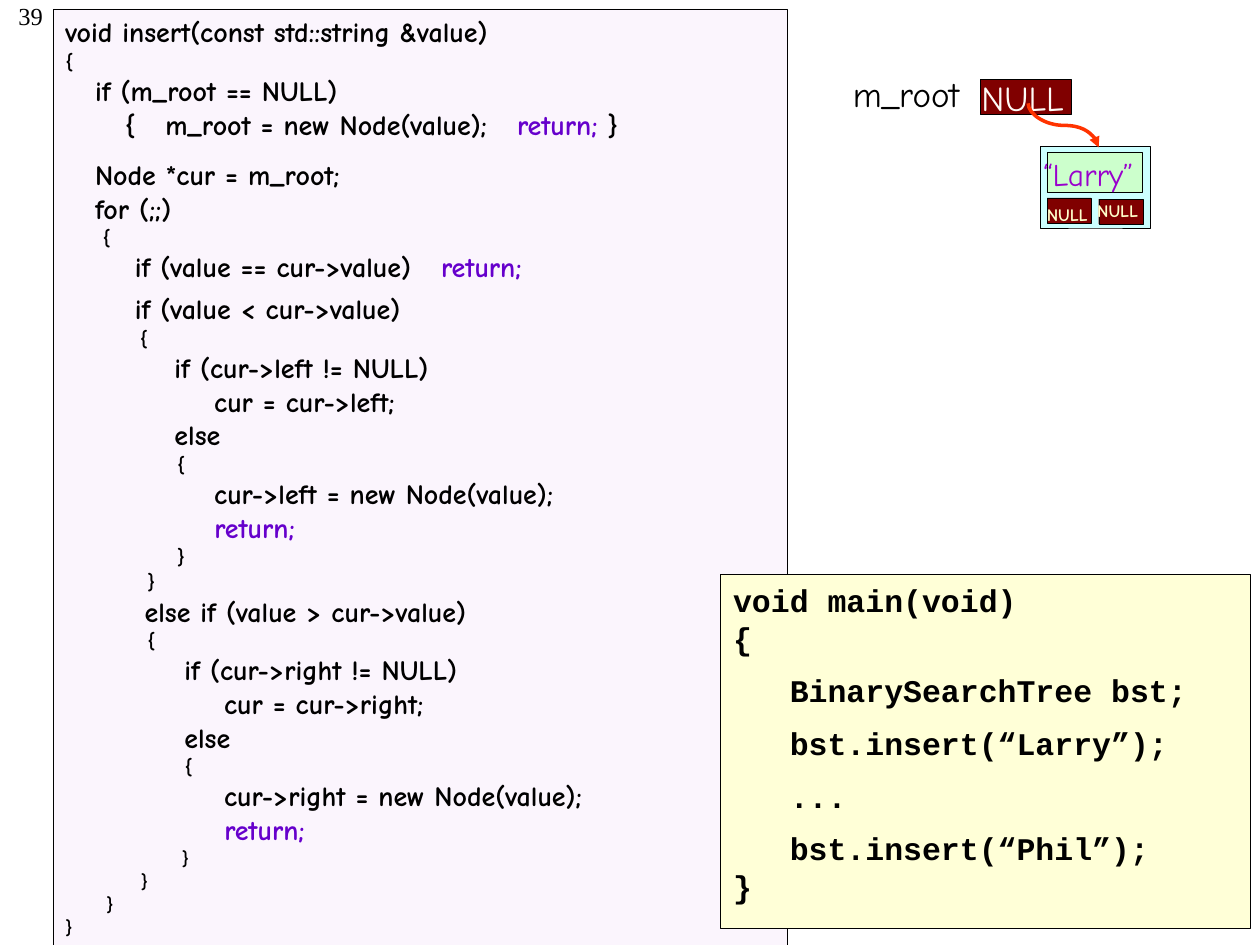
from lxml import etree
from pptx import Presentation, util as u
from pptx.dml.color import RGBColor
from pptx.enum import shapes, text
from pptx.oxml import ns

BLACK = RGBColor(0x00, 0x00, 0x00)
LAVENDER = RGBColor(0xFB, 0xF5, 0xFD)
CREAM = RGBColor(0xFF, 0xFF, 0xD7)
MAROON = RGBColor(0x80, 0x00, 0x00)
CYAN = RGBColor(0xCC, 0xFF, 0xFF)
GREEN = RGBColor(0xCC, 0xFF, 0xCC)
IVORY = RGBColor(0xFF, 0xFB, 0xF7)
YELLOW = RGBColor(0xFF, 0xFF, 0xCC)
PURPLE = RGBColor(0x99, 0x00, 0xCC)
VIOLET = RGBColor(0x66, 0x00, 0xCC)
ORANGE = RGBColor(0xFF, 0x33, 0x00)

KEYWORD = "return;"
INSERT_CODE = """\
void insert(const std::string &value)
{
   if (m_root == NULL)
      {   m_root = new Node(value);   return; }
   Node *cur = m_root;
   for (;;)
     {
       if (value == cur->value)   return;
       if (value < cur->value)
          {
           if (cur->left != NULL)
               cur = cur->left;
           else
               {
               cur->left = new Node(value);
               return;
               }
           }
        else if (value > cur->value)
           {
            if (cur->right != NULL)
                cur = cur->right;
            else
                {
                cur->right = new Node(value);
                return;
                 }
           }
      }
}""".split("\n")
INSERT_GAPS = {4: 9.5, 8: 4.75}
CLOSING_BRACES = 4

MAIN_CODE = """\
void main(void)
{
   BinarySearchTree bst;
   bst.insert(“Larry”);
   ...
   bst.insert(“Phil”);
}""".split("\n")
MAIN_GAPS = dict.fromkeys(range(2, 6), 8.5)


class Slide:
    font = "Comic Neue"
    code_font = "Courier New"
    number_font = "Times New Roman"

    def __init__(self, page):
        self.page = page

    def rect(self, place, color, parent=None):
        owner = parent or self.page
        box = owner.shapes.add_shape(shapes.MSO_SHAPE.RECTANGLE, *map(u.Inches, place))
        box.shadow.inherit = False
        box.fill.solid()
        box.fill.fore_color.rgb = color
        box.line.color.rgb = BLACK
        box.line.width = u.Pt(0.25)
        return box

    def span(self, para, words, color, **values):
        span = para.add_run()
        span.text = words
        span.font.color.rgb = color
        for name, value in values.items():
            setattr(span.font, name, value)

    def code(self, place, color, lines, sizes, gaps, font):
        frame = self.rect(place, color).text_frame
        frame.word_wrap = True
        frame.vertical_anchor = text.MSO_ANCHOR.TOP
        for index, (line, size) in enumerate(zip(lines, sizes)):
            para = frame.add_paragraph() if index else frame.paragraphs[0]
            para.alignment = text.PP_ALIGN.LEFT
            if index in gaps:
                para.space_before = u.Pt(gaps[index])
            for part, ink in zip(line.partition(KEYWORD), (BLACK, VIOLET, BLACK)):
                if part:
                    self.span(para, part, ink, name=font, size=u.Pt(size), bold=True)

    def label(self, place, words, size, color, font=None, bold=False,
              align=text.PP_ALIGN.LEFT):
        box = self.page.shapes.add_textbox(*map(u.Inches, place))
        box.text_frame.word_wrap = False
        para = box.text_frame.paragraphs[0]
        para.alignment = align
        self.span(para, words, color, name=font or self.font, size=u.Pt(size), bold=bold)
        return box

    def curved_arrow(self, start, end, color):
        middle_x, middle_y = (start[0] + end[0]) / 2, (start[1] + end[1]) / 2
        half_run, half_drop = (end[0] - start[0]) / 2, (end[1] - start[1]) / 2
        arrow = self.page.shapes.add_connector(
            shapes.MSO_CONNECTOR.CURVE,
            u.Inches(middle_x + half_drop), u.Inches(middle_y - half_run),
            u.Inches(middle_x - half_drop), u.Inches(middle_y + half_run))
        arrow.line.color.rgb = color
        arrow.line.width = u.Pt(2)
        properties = arrow._element.spPr
        properties.find(ns.qn("a:xfrm")).set("rot", str(270 * 60000))
        line = properties.find(ns.qn("a:ln"))
        etree.SubElement(line, ns.qn("a:tailEnd"), type="triangle")
        etree.SubElement(properties, ns.qn("a:effectLst"))


def main():
    deck = Presentation()
    deck.slide_width, deck.slide_height = u.Inches(10), u.Inches(7.5)
    page = deck.slides.add_slide(deck.slide_layouts[6])
    slide = Slide(page)

    number = slide.label((0, 0, 0.44, 0.46), "39", 14, BLACK, slide.number_font,
                         align=text.PP_ALIGN.RIGHT)
    number.text_frame.margin_top = u.Inches(0.01)

    sizes = [12 if line.strip() in ("{", "}") else 16 for line in INSERT_CODE]
    sizes[-CLOSING_BRACES:] = [11] * CLOSING_BRACES
    slide.code((0.42, 0.07, 5.83, 7.43), LAVENDER, INSERT_CODE, sizes,
               INSERT_GAPS, slide.font)
    slide.code((5.72, 4.56, 4.2, 2.81), CREAM, MAIN_CODE, [18] * len(MAIN_CODE),
               MAIN_GAPS, slide.code_font)

    slide.rect((7.78, 0.63, 0.72, 0.28), MAROON)
    slide.label((6.67, 0.53, 1.15, 0.43), "m_root", 20, BLACK)
    slide.label((7.69, 0.56, 0.93, 0.43), "NULL", 20, IVORY)

    node = page.shapes.add_group_shape()
    for place, color in (
        ((8.26, 1.16, 0.87, 0.65), CYAN),
        ((8.31, 1.57, 0.35, 0.2), MAROON),
        ((8.72, 1.58, 0.35, 0.2), MAROON),
        ((8.31, 1.21, 0.76, 0.32), GREEN),
    ):
        slide.rect(place, color, node)
    slide.label((8.18, 1.18, 1.03, 0.4), "“Larry”", 18, PURPLE)
    for left, top in ((8.21, 1.57), (8.61, 1.54)):
        slide.label((left, top, 0.57, 0.27), "NULL", 10, YELLOW, bold=True)

    slide.curved_arrow((8.16, 0.82), (8.72, 1.17), ORANGE)
    deck.save("out.pptx")


if __name__ == "__main__":
    main()
